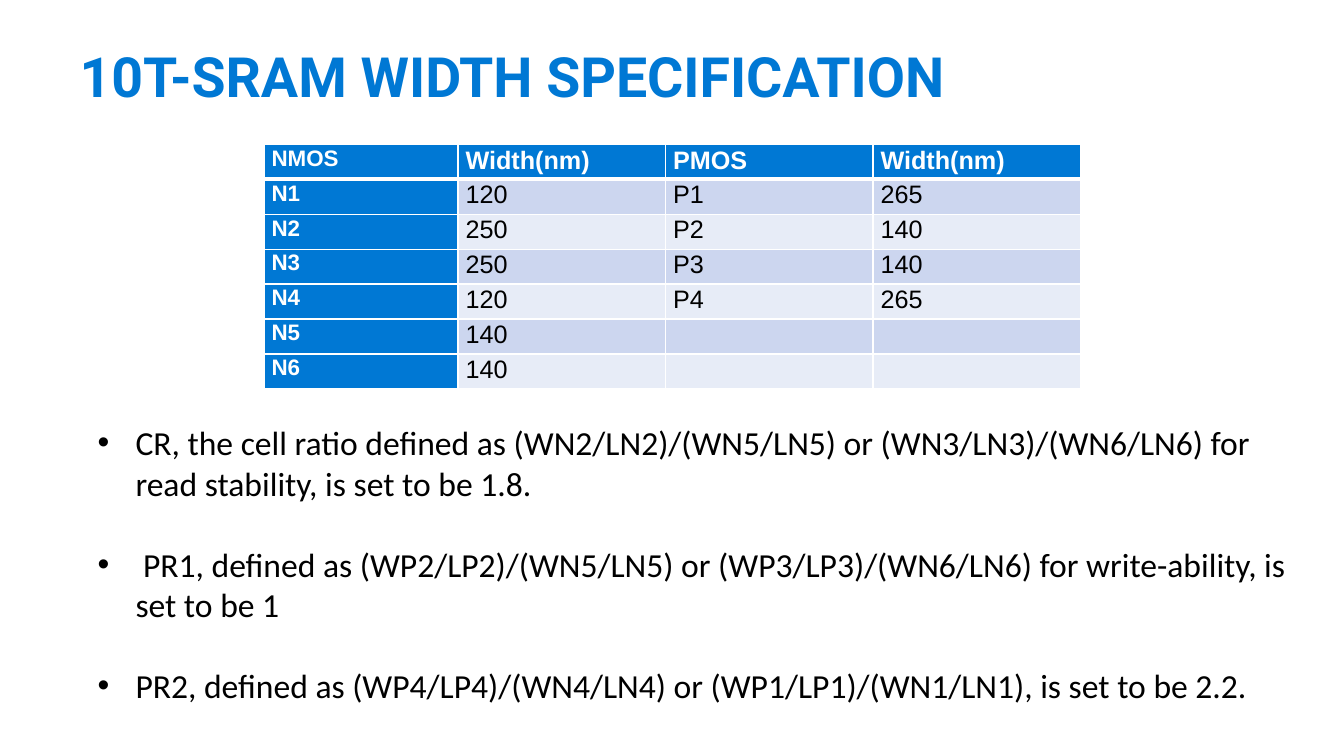
"""Build the 10T-SRAM width specification slide."""
import lxml.etree
import pptx
import pptx.dml.color
import pptx.enum.text
import pptx.oxml.ns
import pptx.util

Pt = pptx.util.Pt
qn = pptx.oxml.ns.qn


def add_run(paragraph, text, font, size, colour, bold=False):
    run = paragraph.add_run()
    run.text = text
    run.font.name = font
    run.font.size = Pt(size)
    run.font.bold = bold
    run.font.color.rgb = pptx.dml.color.RGBColor.from_string(colour)


def add_border(cell, side, width, colour):
    line = lxml.etree.SubElement(cell._tc.get_or_add_tcPr(), qn(f"a:ln{side}"), w=str(Pt(width)))
    fill = lxml.etree.SubElement(line, qn("a:solidFill"))
    lxml.etree.SubElement(fill, qn("a:srgbClr"), val=colour)


BLUE, WHITE, BLACK = "0078D4", "FFFFFF", "000000"
BANDS = ["E7ECF7", "CCD6EF"]

presentation = pptx.Presentation()
presentation.slide_width = Pt(960)
presentation.slide_height = Pt(540)
slide = presentation.slides.add_slide(presentation.slide_layouts[1])

heading = slide.shapes.title
heading.left, heading.top, heading.width, heading.height = Pt(49.7), Pt(27.4), Pt(710.6), Pt(54.7)
heading.text_frame.vertical_anchor = pptx.enum.text.MSO_ANCHOR.BOTTOM
heading.text_frame.auto_size = pptx.enum.text.MSO_AUTO_SIZE.NONE
heading_line = heading.text_frame.paragraphs[0]
heading_line.alignment = pptx.enum.text.PP_ALIGN.LEFT
heading_line.line_spacing = 0.9
add_run(heading_line, "10T-SRAM WIDTH SPECIFICATION", "Roboto", 39.6, BLUE, True)

transistor_widths = [
    ["NMOS", "Width(nm)", "PMOS", "Width(nm)"],
    ["N1", "120", "P1", "265"],
    ["N2", "250", "P2", "140"],
    ["N3", "250", "P3", "140"],
    ["N4", "120", "P4", "265"],
    ["N5", "140", "", ""],
    ["N6", "140", "", ""],
]
column_widths = [138.6, 148.2, 148.2, 148.2]
row_height = 25
widths_table = slide.shapes.add_table(
    len(transistor_widths), len(column_widths), Pt(188.6), Pt(103),
    Pt(sum(column_widths)), Pt(row_height * len(transistor_widths)),
).table
widths_table.first_row = widths_table.horz_banding = False
for column, width in zip(widths_table.columns, column_widths):
    column.width = Pt(width)

for row_index, row in enumerate(transistor_widths):
    for column_index, entry in enumerate(row):
        cell = widths_table.cell(row_index, column_index)
        cell.margin_left = cell.margin_right = Pt(5.4)
        cell.margin_top = cell.margin_bottom = 0
        for side in "LRTB":
            thick = (row_index, side) in [(0, "B"), (1, "T")]
            add_border(cell, side, 3 if thick else 1, WHITE)
        is_header = row_index == 0 or column_index == 0
        cell.fill.solid()
        cell.fill.fore_color.rgb = pptx.dml.color.RGBColor.from_string(
            BLUE if is_header else BANDS[row_index % 2])
        if entry:
            label = cell.text_frame.paragraphs[0]
            label.line_spacing = 1.07
            label.space_after = Pt(8)
            add_run(label, entry, "Arial", 16 if column_index == 0 else 18,
                    WHITE if is_header else BLACK, is_header)

ratio_definitions = [
    "CR, the cell ratio defined as (WN2/LN2)/(WN5/LN5) or (WN3/LN3)/(WN6/LN6) for read stability, is set to be 1.8.",
    " PR1, defined as (WP2/LP2)/(WN5/LN5) or (WP3/LP3)/(WN6/LN6) for write-ability, is set to be 1",
    "PR2, defined as (WP4/LP4)/(WN4/LN4) or (WP1/LP1)/(WN1/LN1), is set to be 2.2.",
]
ratios = slide.placeholders[1]
ratios.left, ratios.top, ratios.width, ratios.height = Pt(62.6), Pt(298), Pt(885), Pt(232.6)
ratios.text_frame.auto_size = pptx.enum.text.MSO_AUTO_SIZE.NONE
for index, definition in enumerate(ratio_definitions):
    item = ratios.text_frame.paragraphs[0] if index == 0 else ratios.text_frame.add_paragraph()
    item.space_before = Pt(29 if index else 0)
    properties = item._p.get_or_add_pPr()
    properties.set("marL", str(Pt(27)))
    properties.set("indent", str(Pt(-27)))
    lxml.etree.SubElement(properties, qn("a:buFont"), typeface="Arial")
    lxml.etree.SubElement(properties, qn("a:buChar"), char="•")
    add_run(item, definition, "Calibri", 24, BLACK)

presentation.save("out.pptx")
